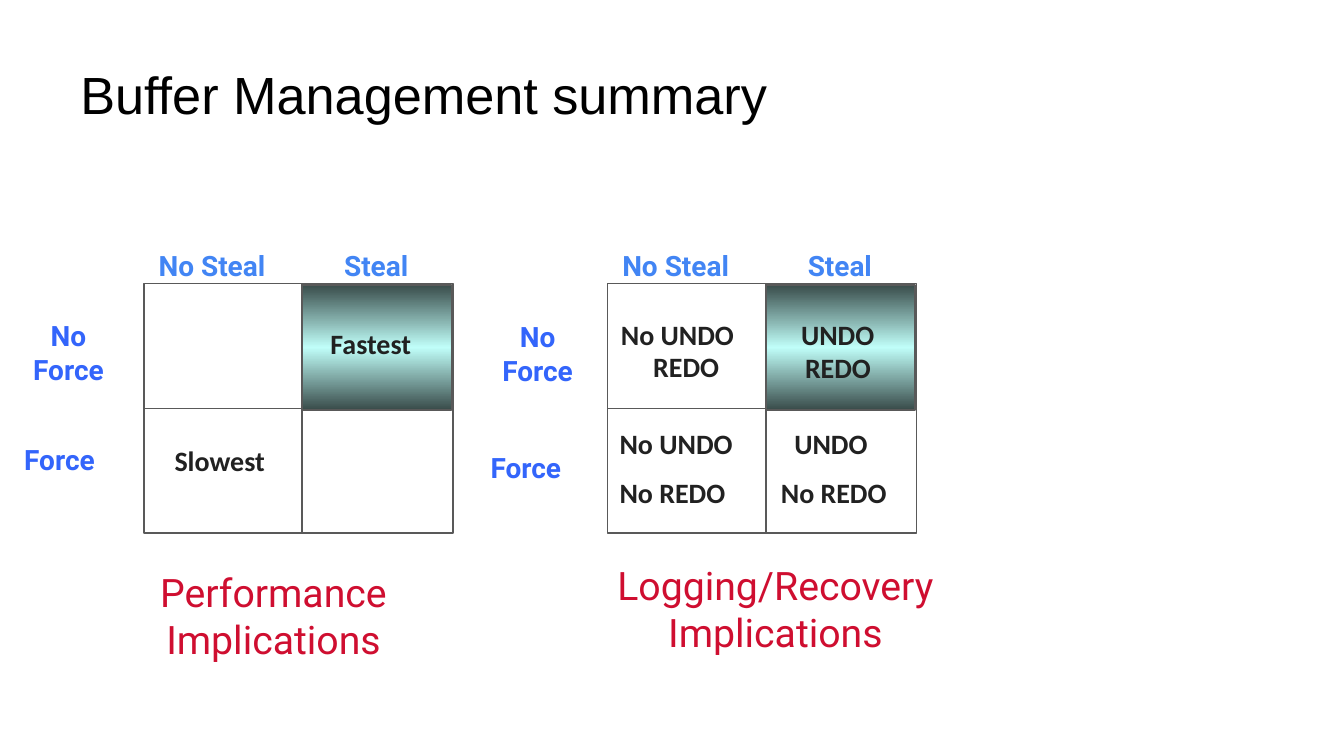
import copy

import pptx
import pptx.dml.color
import pptx.enum.shapes
import pptx.enum.text
import pptx.oxml.ns
import pptx.util
from lxml import etree

Inches = pptx.util.Inches
Pt = pptx.util.Pt
RGBColor = pptx.dml.color.RGBColor
qn = pptx.oxml.ns.qn
ALIGN = pptx.enum.text.PP_ALIGN
ANCHOR = pptx.enum.text.MSO_ANCHOR

BLACK = RGBColor(0x00, 0x00, 0x00)
INK = RGBColor(0x21, 0x21, 0x21)
GREY = RGBColor(0x59, 0x59, 0x59)
ROW_BLUE = RGBColor(0x33, 0x65, 0xFB)
COLUMN_BLUE = RGBColor(0x42, 0x85, 0xF4)
RED = RGBColor(0xCF, 0x0E, 0x30)
DARK_TEAL = RGBColor(0x39, 0x4C, 0x4A)
LIGHT_TEAL = RGBColor(0xC0, 0xFE, 0xF9)

WIDE, NARROW = (0.1, 0.05), (0.07, 0.04)
GRID_TOP, GRID_W, GRID_H, FIRST_COLUMN = 2.11, 2.3, 1.86, 1.18


class Deck:
    """Holds the text styles, the slide and the shape collection being filled."""

    STYLES = {
        "title": dict(name="Arial", size=Pt(28)),
        "row": dict(name="Roboto", size=Pt(15), bold=True),
        "column": dict(name="Roboto", size=Pt(15), bold=True),
        "cell": dict(name="Calibri", size=Pt(15), bold=True),
        "caption": dict(name="Roboto", size=Pt(21)),
    }
    COLORS = dict(title=BLACK, row=ROW_BLUE, column=COLUMN_BLUE, cell=INK, caption=RED)

    def __init__(self, slide):
        self.slide = slide
        self.shapes = slide.shapes

    def start_group(self):
        self.shapes = self.slide.shapes.add_group_shape().shapes

    def text(self, text, box, style, align=ALIGN.LEFT, inset=NARROW, anchor=ANCHOR.TOP):
        """Text box; a newline starts a paragraph, a vertical tab breaks a line."""
        tf = self.shapes.add_textbox(*map(Inches, box)).text_frame
        x, y = map(Inches, inset)
        frame = dict(word_wrap=True, vertical_anchor=anchor, margin_left=x,
                     margin_right=x, margin_top=y, margin_bottom=y)
        for name, value in frame.items():
            setattr(tf, name, value)
        tf.text = text
        for p in tf.paragraphs:
            p.alignment = align
            for r in p.runs:
                for name, value in self.STYLES[style].items():
                    setattr(r.font, name, value)
                r.font.color.rgb = self.COLORS[style]
            for line_break in p._p.findall(qn("a:br")):
                line_break.append(copy.deepcopy(p.runs[0]._r.find(qn("a:rPr"))))

    def rect(self, box):
        sp = self.shapes.add_shape(
            pptx.enum.shapes.MSO_SHAPE.RECTANGLE, *map(Inches, box))
        sp.shadow.inherit = False
        sp.fill.background()
        sp.line.color.rgb = GREY
        sp.line.width = Pt(1)
        return sp

    def gradient_rect(self, box):
        """Rectangle shaded dark, light, dark from top to bottom."""
        sp = self.rect(box)
        sp.fill.gradient()
        sp.fill.gradient_angle = 90
        stops = sp._element.spPr.find(qn("a:gradFill")).find(qn("a:gsLst"))
        stops.append(copy.deepcopy(stops[-1]))
        bands = ((0, DARK_TEAL), (0.5, LIGHT_TEAL), (1, DARK_TEAL))
        for stop, (position, color) in zip(sp.fill.gradient_stops, bands):
            stop.position = position
            stop.color.rgb = color

    def line(self, x1, y1, x2, y2):
        cx = self.shapes.add_connector(
            pptx.enum.shapes.MSO_CONNECTOR.STRAIGHT, *map(Inches, (x1, y1, x2, y2)))
        cx.line.color.rgb = GREY
        cx.line.width = Pt(1)
        etree.SubElement(cx._element.spPr, qn("a:effectLst"))
        return cx

    def matrix(self, left):
        """Two-by-two grid with column headings and a shaded top right cell."""
        middle, split = GRID_TOP + GRID_H / 2, left + FIRST_COLUMN
        frame = self.rect((left, GRID_TOP, GRID_W, GRID_H))
        divider = self.line(left, middle, left + GRID_W, middle)
        divider.begin_connect(frame, 1)
        divider.end_connect(frame, 3)
        self.line(split, GRID_TOP, split, GRID_TOP + GRID_H)
        self.gradient_rect((split, GRID_TOP + 0.01, 1.11, GRID_H / 2))
        self.text("No Steal", (left + 0.04, 1.81, 1.15, 0.33), "column")
        self.text("Steal", (left + 1.42, 1.81, 0.88, 0.33), "column")

    def row_labels(self, no_force, force):
        self.text("No\vForce", (*no_force, 0.8, 0.58), "row", ALIGN.CENTER)
        self.text("Force", (*force, 0.75, 0.33), "row")

    def caption(self, text, box):
        self.text(text, box, "caption", ALIGN.CENTER, WIDE)


def main():
    prs = pptx.Presentation()
    prs.slide_width, prs.slide_height = Inches(10), Inches(10 * 9 / 16)
    s = prs.slides.add_slide(prs.slide_layouts[6])
    deck = Deck(s)
    deck.text("Buffer Management summary", (0.5, 0.23, 9, 0.94), "title",
              inset=WIDE, anchor=ANCHOR.MIDDLE)

    deck.start_group()
    deck.matrix(1.07)
    deck.row_labels((0.11, 2.33), (0.11, 3.25))
    deck.text("Slowest", (1.2, 3.25, 0.88, 0.61), "cell", inset=WIDE)
    deck.text("Fastest", (2.36, 2.38, 1.01, 0.35), "cell", inset=WIDE)
    deck.caption("Performance\nImplications", (1.09, 4.18, 1.89, 0.81))

    deck.start_group()
    deck.matrix(4.52)
    deck.row_labels((3.6, 2.34), (3.58, 3.31))
    cell_texts = (
        ("No UNDO", 4.55, 2.32), ("REDO", 4.79, 2.56),
        ("UNDO", 5.89, 2.32), ("REDO", 5.92, 2.57),
        ("No UNDO", 4.54, 3.13), ("No REDO", 4.54, 3.5),
        ("UNDO", 5.84, 3.13), ("No REDO", 5.74, 3.5),
    )
    for text, left, top in cell_texts:
        width = 1 if text.startswith("No") else 0.7
        deck.text(text, (left, top, width, 0.33), "cell")
    deck.caption("Logging/Recovery\nImplications", (4.47, 4.13, 2.6, 0.81))

    prs.save("out.pptx")


if __name__ == "__main__":
    main()
